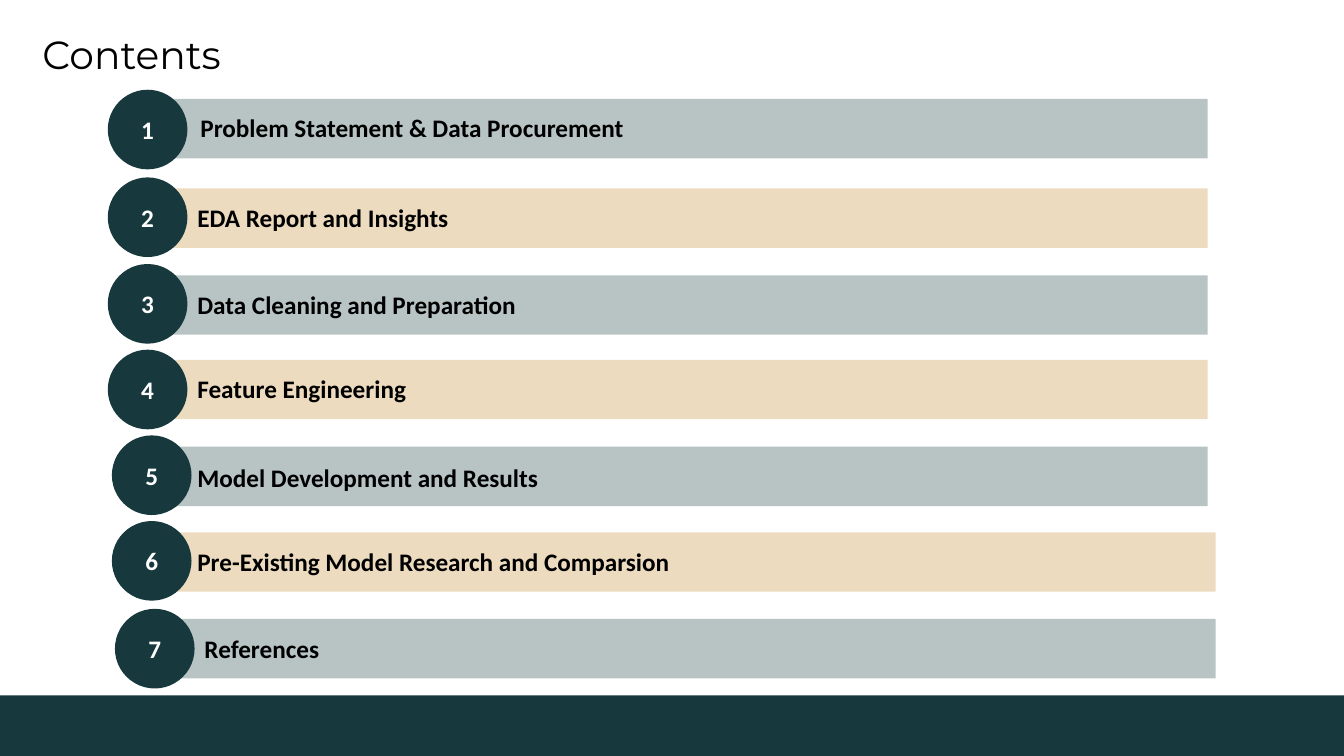
from dataclasses import dataclass

from lxml.etree import SubElement
from pptx import Presentation
from pptx.dml.color import RGBColor
from pptx.enum.shapes import MSO_SHAPE
from pptx.enum.text import MSO_ANCHOR, MSO_AUTO_SIZE, PP_ALIGN
from pptx.oxml.ns import qn
from pptx.shapes.autoshape import Shape
from pptx.slide import Slide
from pptx.util import Pt

COLORS = {"teal": "17393D", "gold": "C2882B", "white": "FFFFFF", "black": "000000"}
WIDTH, HEIGHT = 960, 540
BAR_W, BAR_H = 751.7, 42.5
DISC = 56.9
LABEL_W, LABEL_H = 499.7, 28.8
OPACITY = 30


@dataclass
class Entry:
    text: str
    bar_y: float
    disc_y: float
    label_y: float
    bar_x: float = 110.9
    disc_x: float = 77
    label_x: float = 133.9


ENTRIES = [
    Entry("Problem Statement & Data Procurement", 70.6, 64.1, 77, label_x=136.1),
    Entry("EDA Report and Insights", 134.6, 126.7, 141.1),
    Entry("Data Cleaning and Preparation", 196.6, 188.6, 203),
    Entry("Feature Engineering", 257, 249.8, 262.8),
    Entry("Model Development and Results", 319, 311, 326.9, disc_x=79.9),
    Entry("Pre-Existing Model Research and Comparsion", 380.2, 372.2, 386.6,
          bar_x=116.6, disc_x=79.9),
    Entry("References", 442.1, 434.9, 448.6, bar_x=116.6, disc_x=82.1, label_x=139),
]


def rgb(name: str) -> RGBColor:
    return RGBColor.from_string(COLORS[name])


def add_block(slide: Slide, kind: MSO_SHAPE, x: float, y: float,
              w: float, h: float, color: str) -> Shape:
    block = slide.shapes.add_shape(kind, Pt(x), Pt(y), Pt(w), Pt(h))
    block.shadow.inherit = False
    block.fill.solid()
    block.fill.fore_color.rgb = rgb(color)
    block.line.fill.background()
    return block


def set_text(shape: Shape, text: str, color: str, size: float = 18,
             face: str = "Calibri", bold: bool = True,
             align: PP_ALIGN = PP_ALIGN.LEFT) -> None:
    shape.text_frame.text = text
    line = shape.text_frame.paragraphs[0]
    line.alignment = align
    font = line.runs[0].font
    font.name, font.size, font.bold = face, Pt(size), bold
    font.color.rgb = rgb(color)


def add_title(slide: Slide) -> None:
    title = slide.shapes.title
    title.left, title.top, title.width, title.height = Pt(23), Pt(16.6), Pt(550.8), Pt(42.5)
    set_text(title, "Contents", "black", 28, "Montserrat", False)
    frame = title.text_frame
    frame.auto_size = MSO_AUTO_SIZE.NONE
    frame.vertical_anchor = MSO_ANCHOR.BOTTOM
    frame.paragraphs[0].line_spacing = 0.9


def add_bar(slide: Slide, entry: Entry, color: str) -> None:
    bar = add_block(slide, MSO_SHAPE.RECTANGLE, entry.bar_x, entry.bar_y, BAR_W, BAR_H, color)
    tint = bar.fill._xPr.find(".//" + qn("a:srgbClr"))
    SubElement(tint, qn("a:alpha"), val=str(OPACITY * 1000))


def add_disc(slide: Slide, entry: Entry, number: int) -> None:
    disc = add_block(slide, MSO_SHAPE.OVAL, entry.disc_x, entry.disc_y, DISC, DISC, "teal")
    disc.text_frame.vertical_anchor = MSO_ANCHOR.MIDDLE
    set_text(disc, str(number), "white", align=PP_ALIGN.CENTER)


def add_label(slide: Slide, entry: Entry) -> None:
    label = slide.shapes.add_textbox(Pt(entry.label_x), Pt(entry.label_y),
                                     Pt(LABEL_W), Pt(LABEL_H))
    label.text_frame.word_wrap = True
    label.text_frame.auto_size = MSO_AUTO_SIZE.SHAPE_TO_FIT_TEXT
    set_text(label, entry.text, "black")


def main() -> None:
    deck = Presentation()
    deck.slide_width, deck.slide_height = Pt(WIDTH), Pt(HEIGHT)
    slide = deck.slides.add_slide(deck.slide_layouts[5])
    add_title(slide)
    add_block(slide, MSO_SHAPE.RECTANGLE, 0, 496.8, WIDTH, 43.2, "teal")
    for number, entry in enumerate(ENTRIES, 1):
        add_bar(slide, entry, "teal" if number % 2 else "gold")
        add_disc(slide, entry, number)
        add_label(slide, entry)
    deck.save("out.pptx")


if __name__ == "__main__":
    main()
